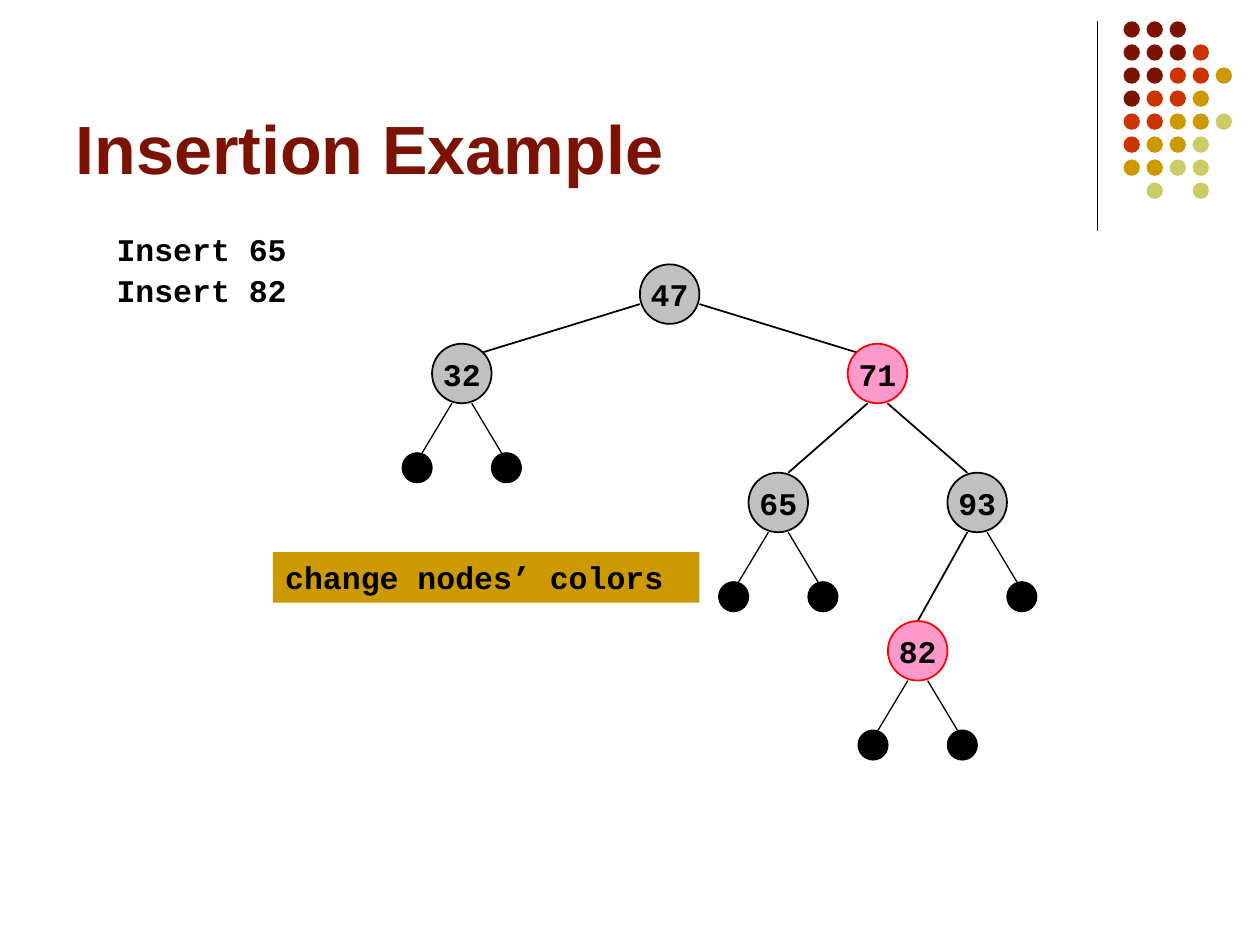
from pptx import Presentation
from pptx.dml.color import RGBColor
from pptx.enum.shapes import MSO_CONNECTOR, MSO_SHAPE
from pptx.enum.text import MSO_ANCHOR, MSO_AUTO_SIZE, PP_ALIGN
from pptx.oxml.ns import qn
from pptx.util import Cm, Pt
from lxml import etree

OVAL, RECT = MSO_SHAPE.OVAL, MSO_SHAPE.RECTANGLE
LINE = MSO_CONNECTOR.STRAIGHT
LEFT, MID = PP_ALIGN.LEFT, PP_ALIGN.CENTER
TOP, CENTER, BASE = MSO_ANCHOR.TOP, MSO_ANCHOR.MIDDLE, MSO_ANCHOR.BOTTOM

# Content
TITLE = "Insertion Example"
STEPS = ["Insert 65", "Insert 82"]
NOTE = "change nodes’ colors"

# Tree nodes: value -> (center x, center y, color)
NODES = {
    "47": (13.5, 5.93, "gray"),
    "32": (9.31, 7.53, "gray"),
    "71": (17.69, 7.53, "pink"),
    "65": (15.69, 10.13, "gray"),
    "93": (19.7, 10.13, "gray"),
    "82": (18.5, 13.12, "pink"),
}
# Edges: parent, child, offset from parent center, offset from child center
EDGES = [
    ("47", "32", (-0.6, 0.2), (0.4, -0.42)),
    ("47", "71", (0.6, 0.2), (-0.4, -0.42)),
    ("71", "65", (-0.2, 0.6), (0.2, -0.6)),
    ("71", "93", (0.2, 0.6), (-0.2, -0.6)),
    ("93", "82", (-0.2, 0.6), (0, -0.6)),
]
# Black leaves: node -> sides (-1 left, 1 right)
LEAVES = {"32": (-1, 1), "65": (-1, 1), "93": (1,), "82": (-1, 1)}

# Corner dots, one letter per color
DOTS = ["MMM", "MMMR", "MMRRG", "MRRG", "RRGGY", "RGGY", "GGYY", " Y Y"]

THEME = {
    "title": "7C1302", "text": "000000", "note": "CC9900",
    "gray": ("C0C0C0", "000000"), "pink": ("FF99CC", "FF0000"),
    "dots": {"M": "7C1302", "R": "CC3300", "G": "CC9900", "Y": "CCCC66"},
    "head": ("Arial", 39), "code": ("Courier New", 18),
    "thin": 0.75, "thick": 1,
}
NODE, LEAF, DOT = 1.2, 0.6, 0.33
PITCH = 3.25 / 7

deck = Presentation()
deck.slide_width, deck.slide_height = Cm(25.4), Cm(19.05)
slide = deck.slides.add_slide(deck.slide_layouts[5])
shapes = slide.shapes


def rgb(code):
    return RGBColor.from_string(code)


def write(shape, text, face, color, align=LEFT, anchor=TOP):
    frame = shape.text_frame
    frame.text = text
    frame.word_wrap = True
    frame.auto_size = MSO_AUTO_SIZE.NONE
    frame.vertical_anchor = anchor
    para = frame.paragraphs[0]
    para.alignment = align
    font = para.runs[0].font
    font.name, font.size = face[0], Pt(face[1])
    font.bold = True
    font.color.rgb = rgb(color)
    return frame


def draw(kind, x, y, w, h, fill, edge=None, width=1):
    shape = shapes.add_shape(kind, Cm(x), Cm(y), Cm(w), Cm(h))
    shape.shadow.inherit = False
    shape.fill.solid()
    shape.fill.fore_color.rgb = rgb(fill)
    if edge:
        shape.line.color.rgb = rgb(edge)
        shape.line.width = Pt(width)
    else:
        shape.line.fill.background()
    return shape


def disc(x, y, size, *style):
    return draw(OVAL, x - size / 2, y - size / 2, size, size, *style)


def link(x1, y1, x2, y2, width):
    line = shapes.add_connector(LINE, Cm(x1), Cm(y1), Cm(x2), Cm(y2))
    line.line.color.rgb = rgb(THEME["text"])
    line.line.width = Pt(width)
    etree.SubElement(line._element.spPr, qn("a:effectLst"))


# Corner ornament
link(22.12, 0.43, 22.12, 4.65, THEME["thin"])
for row, marks in enumerate(DOTS):
    for col, mark in enumerate(marks):
        if mark in THEME["dots"]:
            draw(OVAL, 22.65 + col * PITCH, 0.43 + row * PITCH, DOT, DOT,
                 THEME["dots"][mark])

# Title
title = shapes.title
title.left, title.top = Cm(1.27), Cm(0.33)
title.width, title.height = Cm(20.96), Cm(3.6)
write(title, TITLE, THEME["head"], THEME["title"], LEFT, BASE)

# Insert steps
for i, step in enumerate(STEPS):
    box = shapes.add_textbox(Cm(2.1), Cm(4.52 + i * 0.81), Cm(6.6), Cm(1.02))
    write(box, step, THEME["code"], THEME["text"])

# Tree edges
for top, low, start, end in EDGES:
    x1, y1, _ = NODES[top]
    x2, y2, _ = NODES[low]
    link(x1 + start[0], y1 + start[1], x2 + end[0], y2 + end[1],
         THEME["thick"])

# Leaves with their short edges
for name, sides in LEAVES.items():
    x, y, _ = NODES[name]
    base = y + NODE / 2
    for side in sides:
        link(x + side * 0.2, base, x + side * 0.8, base + 1, THEME["thin"])
        disc(x + side * 0.9, base + 1 + LEAF / 2, LEAF,
             THEME["text"], THEME["text"], THEME["thin"])

# Nodes
for name, (x, y, tint) in NODES.items():
    node = disc(x, y, NODE, *THEME[tint], THEME["thick"])
    frame = write(node, name, THEME["code"], THEME["text"], MID, CENTER)
    frame.margin_left = frame.margin_right = 0
    frame.margin_top = frame.margin_bottom = 0

# Note
note = draw(RECT, 5.5, 11.13, 8.6, 1.02, THEME["note"])
write(note, NOTE, THEME["code"], THEME["text"])

deck.save("out.pptx")
